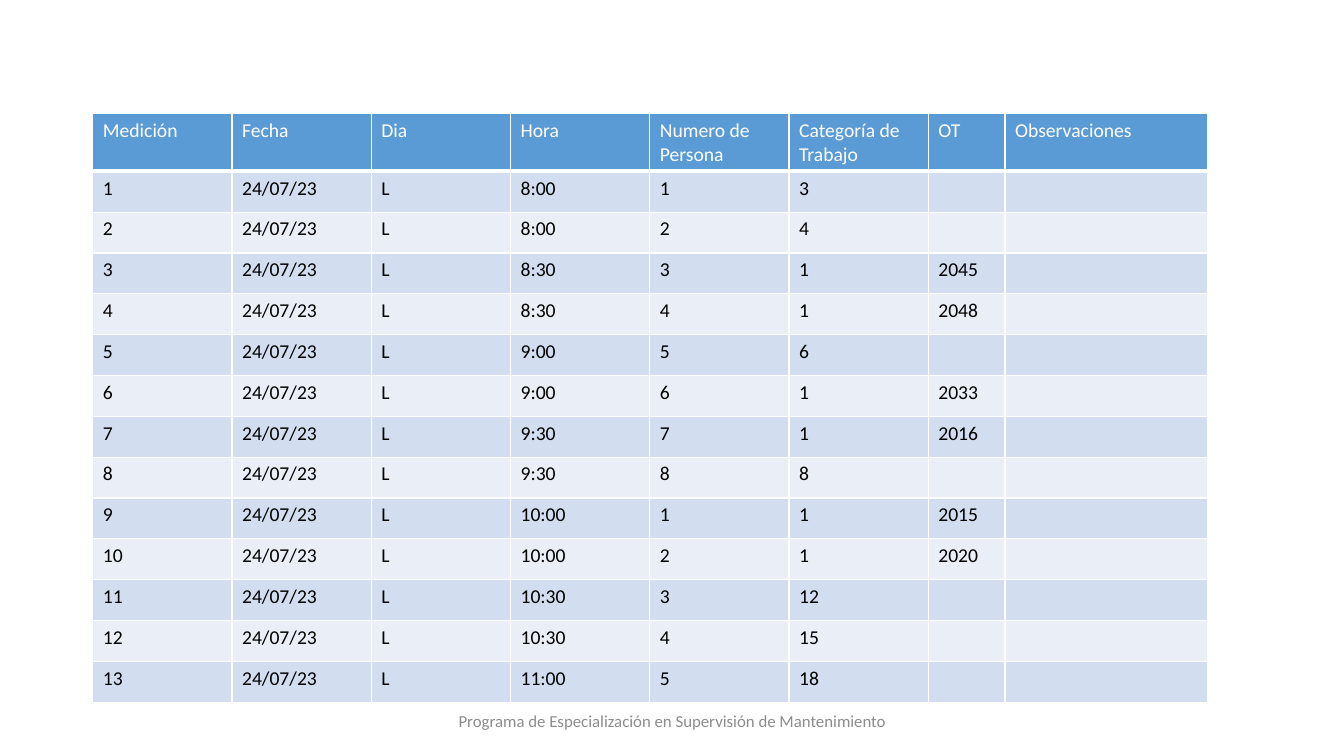
from lxml.etree import SubElement
from pptx import Presentation
from pptx.dml.color import RGBColor
from pptx.enum.text import MSO_ANCHOR as Anchor, PP_ALIGN as Align
from pptx.oxml.ns import qn
from pptx.util import Inches, Pt

WIDTH, HEIGHT = 13.33, 7.5
FONT = "Calibri"
WHITE, BLACK, GREY = "FFFFFF", "000000", "8C8C8C"
HEADER_FILL = "5B9BD5"
BAND_FILLS = ("D2DEEF", "EAEFF7")

HEADINGS = ("Medición", "Fecha", "Dia", "Hora", "Numero de Persona",
            "Categoría de Trabajo", "OT", "Observaciones")
COLUMN_WIDTHS = [1.38] * 6 + [0.76, 2.01]
HEADER_HEIGHT = 0.57
DATE, DAY = "24/07/23", "L"
PEOPLE = 8
MEASUREMENTS = (
    ("8:00", "3", ""),
    ("8:00", "4", ""),
    ("8:30", "1", "2045"),
    ("8:30", "1", "2048"),
    ("9:00", "6", ""),
    ("9:00", "1", "2033"),
    ("9:30", "1", "2016"),
    ("9:30", "8", ""),
    ("10:00", "1", "2015"),
    ("10:00", "1", "2020"),
    ("10:30", "12", ""),
    ("10:30", "15", ""),
    ("11:00", "18", ""),
)


def color(hex_value):
    return RGBColor.from_string(hex_value)


def format_text(frame, size, hex_value):
    for paragraph in frame.paragraphs:
        for run in paragraph.runs:
            run.font.name = FONT
            run.font.size = Pt(size)
            run.font.bold = False
            run.font.color.rgb = color(hex_value)


def add_borders(cell, bottom_width):
    properties = cell._tc.get_or_add_tcPr()
    for side, width in (("L", 1), ("R", 1), ("T", 1), ("B", bottom_width)):
        line = SubElement(properties, qn(f"a:ln{side}"), w=str(Pt(width)))
        fill = SubElement(line, qn("a:solidFill"))
        SubElement(fill, qn("a:srgbClr"), val=WHITE)


def fill_cell(cell, text, fill, text_color, bottom_width):
    add_borders(cell, bottom_width)
    cell.fill.solid()
    cell.fill.fore_color.rgb = color(fill)
    cell.text_frame.text = text
    format_text(cell.text_frame, 14, text_color)


def add_measurements(slide, left, top, width, height):
    rows = [HEADINGS]
    for index, (hour, category, order) in enumerate(MEASUREMENTS):
        person = str(index % PEOPLE + 1)
        rows.append((str(index + 1), DATE, DAY, hour, person, category, order, ""))

    table = slide.shapes.add_table(
        len(rows), len(HEADINGS),
        Inches(left), Inches(top), Inches(width), Inches(height)).table
    for column, share in zip(table.columns, COLUMN_WIDTHS):
        column.width = Inches(width * share / sum(COLUMN_WIDTHS))

    body_height = (height - HEADER_HEIGHT) / len(MEASUREMENTS)
    for number, values in enumerate(rows):
        is_header = number == 0
        table.rows[number].height = Inches(HEADER_HEIGHT if is_header else body_height)
        fill = HEADER_FILL if is_header else BAND_FILLS[(number - 1) % 2]
        for cell, value in zip(table.rows[number].cells, values):
            fill_cell(cell, value, fill, WHITE if is_header else BLACK,
                      3 if is_header else 1)


def add_footer(slide, left, top, width, height):
    footer = slide.shapes.add_textbox(
        Inches(left), Inches(top), Inches(width), Inches(height)).text_frame
    footer.word_wrap = True
    footer.vertical_anchor = Anchor.MIDDLE
    footer.text = "Programa de Especialización en Supervisión de Mantenimiento"
    footer.paragraphs[0].alignment = Align.CENTER
    format_text(footer, 12, GREY)


def main():
    deck = Presentation()
    deck.slide_width, deck.slide_height = Inches(WIDTH), Inches(HEIGHT)
    slide = deck.slides.add_slide(deck.slide_layouts[6])
    add_footer(slide, 4.42, 6.95, 4.5, 0.4)
    add_measurements(slide, 0.92, 1.13, 11.06, 5.84)
    deck.save("out.pptx")


if __name__ == "__main__":
    main()
